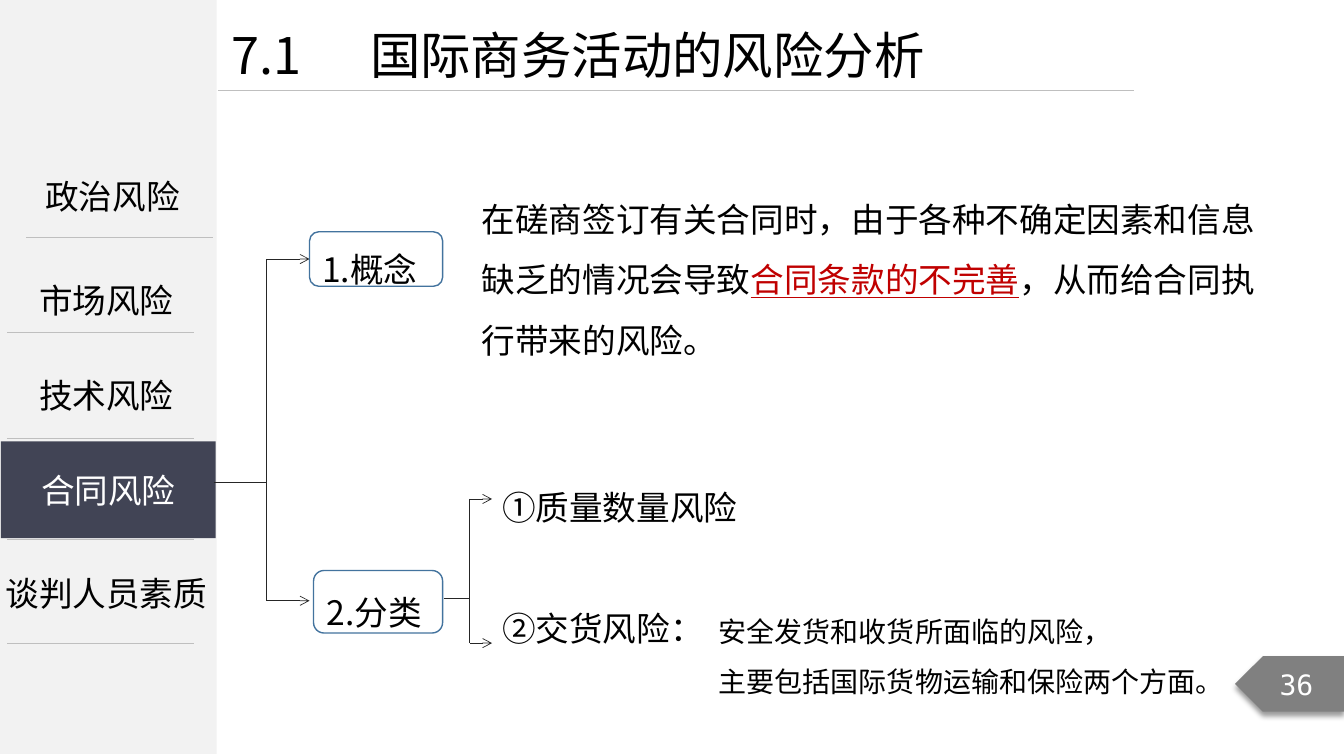
from lxml import etree
from pptx import Presentation
from pptx.dml.color import RGBColor
from pptx.enum.shapes import MSO_CONNECTOR, MSO_SHAPE
from pptx.enum.text import MSO_ANCHOR, MSO_AUTO_SIZE, PP_ALIGN
from pptx.oxml import parse_xml
from pptx.oxml.ns import nsdecls, qn
from pptx.util import Inches, Pt

STRAIGHT = MSO_CONNECTOR.STRAIGHT
RECTANGLE, ROUNDED, PENTAGON = (
    MSO_SHAPE.RECTANGLE, MSO_SHAPE.ROUNDED_RECTANGLE, MSO_SHAPE.PENTAGON)
TOP, MIDDLE = MSO_ANCHOR.TOP, MSO_ANCHOR.MIDDLE
LEFT, CENTER = PP_ALIGN.LEFT, PP_ALIGN.CENTER
NO_AUTOFIT = MSO_AUTO_SIZE.NONE

COLORS = {
    "text": "000000", "white": "FFFFFF", "sidebar": "F2F2F2",
    "active": "414455", "rule": "BFBFBF", "branch": "262626",
    "node": "43739E", "accent": "C00000", "badge": "808080",
}
COLORS = {name: RGBColor.from_string(value) for name, value in COLORS.items()}


def add_text(para, text, size=24, color="text", font="Noto Sans CJK SC",
             align=LEFT, spacing=1.0, underline=False):
    """Append a formatted span to a paragraph and set the paragraph's layout."""
    para.alignment = align
    para.line_spacing = spacing
    span = para.add_run()
    span.text = text
    span.font.size = Pt(size)
    span.font.name = font
    span.font.color.rgb = COLORS[color]
    span.font.underline = underline
    east_asian = etree.SubElement(span.font._element, qn("a:ea"))
    east_asian.set("typeface", font)


def add_line(x1, y1, x2, y2, color="branch", arrow=False):
    """Draw a thin straight line, with an arrowhead at its end if asked."""
    line = page.shapes.add_connector(
        STRAIGHT, Inches(x1), Inches(y1), Inches(x2), Inches(y2))
    line.line.color.rgb = COLORS[color]
    line.line.width = Pt(0.5)
    if arrow:
        etree.SubElement(line.line._get_or_add_ln(), qn("a:tailEnd")).set("type", "arrow")
    etree.SubElement(line._element.spPr, qn("a:effectLst"))


deck = Presentation()
deck.slide_width, deck.slide_height = Inches(13.33), Inches(7.5)
page = deck.slides.add_slide(deck.slide_layouts[1])
title, risk_list = page.placeholders

# Title, with a tab between number and name
title.left, title.top, title.width, title.height = map(Inches, (2.2, 0.19, 9.67, 0.71))
title.text_frame.auto_size = NO_AUTOFIT
title.text_frame.vertical_anchor = TOP
para = title.text_frame.paragraphs[0]
add_text(para, "7.1\t国际商务活动的风险分析", size=36)
tab_list = etree.SubElement(para._p.get_or_add_pPr(), qn("a:tabLst"))
tab = etree.SubElement(tab_list, qn("a:tab"))
tab.set("pos", str(Inches(1.37)))
tab.set("algn", "l")
add_line(2.16, 0.9, 11.25, 0.9, color="rule")

# Sidebar
for color, left, top, width, height in [
    ("sidebar", 0, 0, 2.15, 7.48),
    ("active", 0.01, 4.38, 2.13, 0.96),
]:
    panel = page.shapes.add_shape(
        RECTANGLE, Inches(left), Inches(top), Inches(width), Inches(height))
    panel.shadow.inherit = False
    panel.fill.solid()
    panel.fill.fore_color.rgb = COLORS[color]
    panel.line.fill.background()
panel.text_frame.vertical_anchor = MIDDLE
add_text(panel.text_frame.paragraphs[0], "合同风险", color="white", align=CENTER)

for text, left, top, width, spacing in [
    ("政治风险", 0.2, 1.7, 1.83, 1.0),
    ("市场风险", 0.14, 2.73, 1.83, 1.0),
    ("技术风险", 0.14, 3.47, 1.83, 1.5),
    ("谈判人员素质", 0, 5.63, 2.11, 1.0),
]:
    label = page.shapes.add_textbox(
        Inches(left), Inches(top), Inches(width), Inches(0.5 * spacing))
    frame = label.text_frame
    frame.word_wrap = True
    frame.margin_left = frame.margin_right = 0
    add_text(frame.paragraphs[0], text, align=CENTER, spacing=spacing)

for left, top in [(0.26, 2.35), (0.07, 3.3), (0.07, 4.35), (0.07, 5.35), (0.07, 6.38)]:
    add_line(left, top, left + 1.85, top, color="rule")

# Branches: stem start, stem height, trunk, arrow end, arrow heights
for stem_x, stem_y, trunk_x, end_x, ends in [
    (2.12, 4.79, 2.64, 3.07, (2.57, 5.96)),
    (4.4, 5.94, 4.66, 4.88, (4.95, 6.38)),
]:
    add_line(stem_x, stem_y, trunk_x, stem_y)
    add_line(trunk_x, ends[0], trunk_x, ends[1])
    for end_y in ends:
        add_line(trunk_x, end_y, end_x, end_y, arrow=True)

# Topic nodes
for text, left, top, width, height in [
    ("1.概念", 3.07, 2.3, 1.32, 0.54),
    ("2.分类", 3.11, 5.66, 1.28, 0.62),
]:
    node = page.shapes.add_shape(
        ROUNDED, Inches(left), Inches(top), Inches(width), Inches(height))
    node.shadow.inherit = False
    node.fill.background()
    node.line.color.rgb = COLORS["node"]
    node.line.width = Pt(1)
    node.text_frame.vertical_anchor = MIDDLE
    node.text_frame.margin_right = 0
    add_text(node.text_frame.paragraphs[0], text, spacing=1.5)

# Definition
definition = page.shapes.add_textbox(Inches(4.68), Inches(1.72), Inches(7.9), Inches(1.92))
definition.text_frame.word_wrap = True
para = definition.text_frame.paragraphs[0]
add_text(para, "在磋商签订有关合同时，由于各种不确定因素和信息缺乏的情况会导致", spacing=1.5)
add_text(para, "合同条款的不完善", color="accent", underline=True, spacing=1.5)
add_text(para, "，从而给合同执行带来的风险。", spacing=1.5)

# Risk types
risk_list.left, risk_list.top, risk_list.width, risk_list.height = map(
    Inches, (4.88, 4.78, 2.83, 1.9))
frame = risk_list.text_frame
frame.auto_size = NO_AUTOFIT
for text, gap in [("①质量数量风险", 0), ("②交货风险：", 58)]:
    para = frame.add_paragraph() if gap else frame.paragraphs[0]
    add_text(para, text)
    para.space_before = Pt(gap)
    properties = para._p.get_or_add_pPr()
    properties.set("marL", "0")
    properties.set("indent", "0")
    etree.SubElement(properties, qn("a:buNone"))

# Delivery risk details
details = page.shapes.add_textbox(Inches(7.03), Inches(5.88), Inches(5.2), Inches(1.11))
frame = details.text_frame
frame.word_wrap = True
add_text(frame.paragraphs[0], "安全发货和收货所面临的风险，", size=20, spacing=1.5)
add_text(frame.add_paragraph(), "主要包括国际货物运输和保险两个方面。", size=20, spacing=1.5)

# Page number badge
badge = page.shapes.add_shape(PENTAGON, Inches(12.25), Inches(6.51), Inches(1.08), Inches(0.55))
badge.fill.solid()
badge.fill.fore_color.rgb = COLORS["badge"]
badge.line.fill.background()
badge._element.spPr.xfrm.set("flipH", "1")
badge._element.spPr.append(parse_xml(
    f'<a:effectLst {nsdecls("a")}><a:outerShdw blurRad="{Pt(4)}" dist="{Pt(3)}" '
    'dir="5400000" algn="t" rotWithShape="0"><a:srgbClr val="000000">'
    '<a:alpha val="40000"/></a:srgbClr></a:outerShdw></a:effectLst>'))
badge.text_frame.vertical_anchor = MIDDLE
add_text(badge.text_frame.paragraphs[0], "36", size=20, color="white",
         font="DejaVu Sans Mono", align=CENTER)

deck.save("out.pptx")
